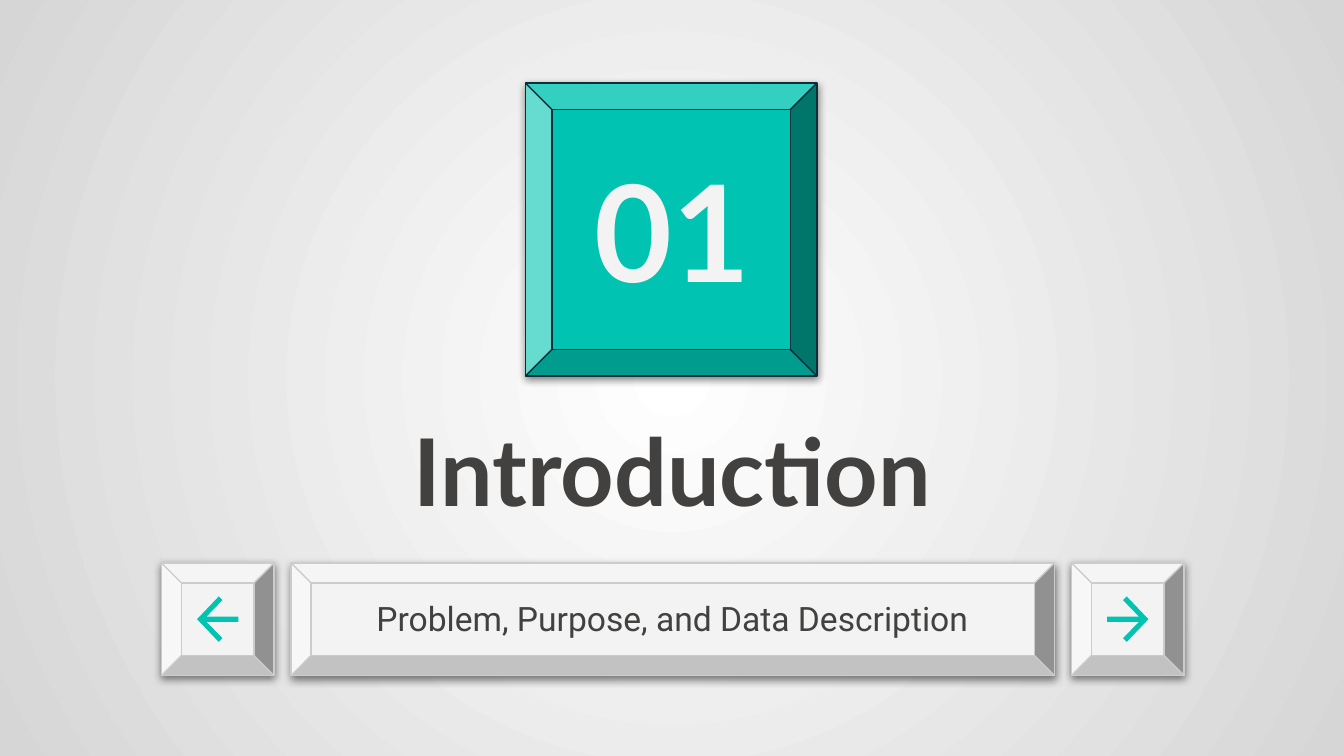
from lxml import etree
from pptx import Presentation
from pptx.dml.color import RGBColor
from pptx.enum.shapes import MSO_SHAPE
from pptx.enum.text import MSO_ANCHOR, MSO_AUTO_SIZE, PP_ALIGN
from pptx.oxml import parse_xml
from pptx.oxml.ns import nsdecls, qn
from pptx.util import Cm, Pt

BEVEL = MSO_SHAPE.BEVEL
MIDDLE = MSO_ANCHOR.MIDDLE
NO_AUTOFIT = MSO_AUTO_SIZE.NONE
CENTER = PP_ALIGN.CENTER
TITLE_ONLY = 5

# Content
NUMBER = "01"
TITLE = "Introduction"
SUBTITLE = "Problem, Purpose, and Data Description"

# Theme
THEME = {
    "background": ("FFFFFF", "D6D6D6"),
    "accent": "00C3B1",
    "accent_line": "0C2E3A",
    "key": "F3F3F3",
    "key_line": "CCCCCC",
    "text": "42413F",
    "heading_font": "Lato",
    "body_font": "Roboto",
    "number_size": 72,
    "title_size": 50,
    "subtitle_size": 18,
}

# Layout in centimetres: left, top, width, height
SLIDE_SIZE = (25.4, 14.29)
NUMBER_TILE = (9.93, 1.57, 5.51, 5.54)
NUMBER_BOX = (10.52, 2.44, 4.39, 3.76)
TITLE_BOX = (6.55, 7.21, 12.32, 3.33)
SUBTITLE_BOX = (6.55, 11.07, 12.32, 1.22)
KEY_LEFT, KEY_TOP, KEY_SIZE, KEY_GAP = 3.05, 10.64, 2.13, 0.32
BAR_WIDTH = 14.43
# Upper half of a right arrow, measured from its centre
ARROW_HALF = [(-0.39, -0.05), (0.21, -0.05), (-0.09, -0.36), (-0.02, -0.43)]
ARROW_TIP = (0.39, 0)


def color(name):
    return RGBColor.from_string(THEME[name])


def paint_background(slide):
    fill = slide.background.fill
    fill.gradient()
    for stop, value in zip(fill.gradient_stops, THEME["background"]):
        stop.color.rgb = RGBColor.from_string(value)
    # Turn the linear gradient into a circular one from the centre
    gradient = slide.background._cSld.find(".//" + qn("a:gradFill"))
    gradient.remove(gradient.find(qn("a:lin")))
    circle = etree.SubElement(gradient, qn("a:path"), path="circle")
    etree.SubElement(circle, qn("a:fillToRect"),
                     {side: "50000" for side in "ltrb"})


def add_bevel(slide, box, edge, fill, line):
    shape = slide.shapes.add_shape(BEVEL, *map(Cm, box))
    shape.adjustments[0] = edge
    shape.fill.solid()
    shape.fill.fore_color.rgb = color(fill)
    shape.line.color.rgb = color(line)
    shape.line.width = Pt(0.75)
    shape._element.spPr.append(parse_xml(
        f'<a:effectLst {nsdecls("a")}>'
        f'<a:outerShdw blurRad="{Pt(4.5)}" dist="{Pt(1.5)}" dir="5400000" '
        'algn="bl" rotWithShape="0"><a:srgbClr val="000000">'
        '<a:alpha val="50000"/></a:srgbClr></a:outerShdw></a:effectLst>'))


def add_arrow(slide, center_x, center_y, direction):
    lower = [(x, -y) for x, y in reversed(ARROW_HALF)]
    points = [(Cm(center_x + direction * x), Cm(center_y + y))
              for x, y in ARROW_HALF + [ARROW_TIP] + lower]
    builder = slide.shapes.build_freeform(*points[0])
    builder.add_line_segments(points[1:], close=True)
    arrow = builder.convert_to_shape()
    arrow.shadow.inherit = False
    arrow.fill.solid()
    arrow.fill.fore_color.rgb = color("accent")
    arrow.line.fill.background()


def write_text(shape, box, text, size, font, ink, bold):
    shape.left, shape.top, shape.width, shape.height = map(Cm, box)
    frame = shape.text_frame
    frame.text = text
    frame.word_wrap = True
    frame.auto_size = NO_AUTOFIT
    frame.vertical_anchor = MIDDLE
    frame.margin_left = frame.margin_right = Cm(0.25)
    frame.margin_top = frame.margin_bottom = Cm(0.25)
    paragraph = frame.paragraphs[0]
    paragraph.alignment = CENTER
    run_font = paragraph.runs[0].font
    run_font.name = THEME[font]
    run_font.size = Pt(THEME[size])
    run_font.bold = bold
    run_font.color.rgb = color(ink)


def main():
    presentation = Presentation()
    presentation.slide_width, presentation.slide_height = map(Cm, SLIDE_SIZE)
    slide = presentation.slides.add_slide(
        presentation.slide_layouts[TITLE_ONLY])
    paint_background(slide)

    # Number tile and subtitle bar
    add_bevel(slide, NUMBER_TILE, 0.091, "accent", "accent_line")
    bar_left = KEY_LEFT + KEY_SIZE + KEY_GAP
    add_bevel(slide, (bar_left, KEY_TOP, BAR_WIDTH, KEY_SIZE),
              0.179, "key", "key_line")

    # Arrow keys on both sides of the bar
    right_key = bar_left + BAR_WIDTH + KEY_GAP
    for left, direction in ((KEY_LEFT, -1), (right_key, 1)):
        add_bevel(slide, (left, KEY_TOP, KEY_SIZE, KEY_SIZE),
                  0.179, "key", "key_line")
        add_arrow(slide, left + KEY_SIZE / 2, KEY_TOP + KEY_SIZE / 2,
                  direction)

    # Texts
    write_text(slide.shapes.title, TITLE_BOX, TITLE,
               "title_size", "heading_font", "text", True)
    for box, text, size, font, ink, bold in (
        (SUBTITLE_BOX, SUBTITLE, "subtitle_size", "body_font", "text", False),
        (NUMBER_BOX, NUMBER, "number_size", "heading_font", "key", True),
    ):
        text_box = slide.shapes.add_textbox(*map(Cm, box))
        write_text(text_box, box, text, size, font, ink, bold)

    presentation.save("out.pptx")


if __name__ == "__main__":
    main()
